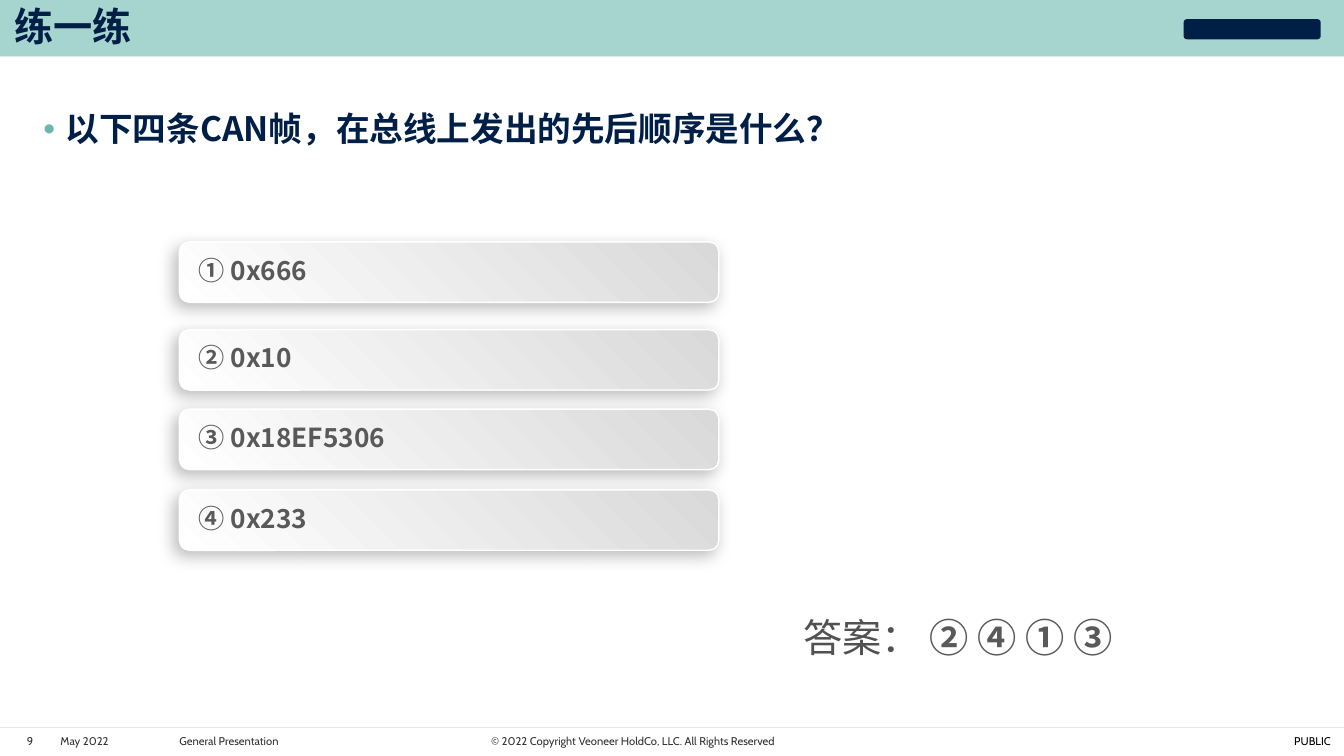
from dataclasses import dataclass

from lxml.etree import SubElement
from pptx import Presentation
from pptx.dml.color import RGBColor
from pptx.enum.shapes import MSO_SHAPE
from pptx.enum.text import MSO_ANCHOR, PP_ALIGN
from pptx.oxml.ns import qn
from pptx.util import Inches, Pt


@dataclass(frozen=True)
class Theme:
    cjk: str = "Noto Sans CJK SC"
    latin: str = "Cabin"
    navy: str = "001F47"
    mint: str = "A6D4CF"
    teal: str = "6BB7AF"
    white: str = "FFFFFF"
    silver: str = "D9D9D9"
    grey: str = "595959"
    answer: str = "515151"
    footer: str = "323232"
    black: str = "000000"
    title_size: float = 28
    question_size: float = 24
    frame_size: float = 18.7
    footer_size: float = 8


def add_xml(parent, tag, **attrs):
    return SubElement(parent, qn(tag), {k: str(v) for k, v in attrs.items()})


class SlideBuilder:
    """Draws on one slide; every box is (left, top, width, height) in percent of the slide."""

    def __init__(self, prs, theme):
        self.prs, self.theme = prs, theme
        self.s = prs.slides.add_slide(prs.slide_layouts[6])

    def place(self, box):
        w, h = self.prs.slide_width, self.prs.slide_height
        return [round(share * side / 100) for share, side in zip(box, (w, h, w, h))]

    def shape(self, box, color, kind=MSO_SHAPE.RECTANGLE, opacity=100):
        sp = self.s.shapes.add_shape(kind, *self.place(box))
        sp.shadow.inherit = False
        sp.fill.solid()
        sp.fill.fore_color.rgb = RGBColor.from_string(color)
        sp.line.fill.background()
        if opacity < 100:
            tint = sp.fill._xPr.find(qn("a:solidFill"))[0]
            add_xml(tint, "a:alpha", val=opacity * 1000)
        return sp

    def card(self, box):
        """Rounded bar with a diagonal gradient, white edge and soft shadow."""
        t = self.theme
        sp = self.shape(box, t.white, MSO_SHAPE.ROUNDED_RECTANGLE)
        sp.fill.gradient()
        sp.fill.gradient_angle = 45
        for stop, position, color in zip(sp.fill.gradient_stops, (0, 1), (t.white, t.silver)):
            stop.position = position
            stop.color.rgb = RGBColor.from_string(color)
        sp.line.color.rgb = RGBColor.from_string(t.white)
        sp.line.width = Pt(1)
        effects = sp._element.spPr.find(qn("a:effectLst"))
        shadow = add_xml(effects, "a:outerShdw", blurRad=Pt(12), dist=Pt(5),
                         dir=135 * 60000, algn="tr", rotWithShape=0)
        tint = add_xml(shadow, "a:srgbClr", val=t.black)
        add_xml(tint, "a:alpha", val=26000)

    def text(self, box, runs, size, font, inset=True, anchor=MSO_ANCHOR.TOP,
             align=PP_ALIGN.LEFT, spacing=None, bullet=None):
        """Writes one paragraph; runs are (text, colour, bold)."""
        tf = self.s.shapes.add_textbox(*self.place(box)).text_frame
        frame = {"word_wrap": True, "vertical_anchor": anchor}
        if not inset:
            frame |= {f"margin_{side}": 0 for side in ("left", "top", "right", "bottom")}
        for name, value in frame.items():
            setattr(tf, name, value)
        p = tf.paragraphs[0]
        p.alignment = align
        if spacing:
            p.line_spacing = spacing
        if bullet:
            self.bullet(p, bullet)
        for text, color, bold in runs:
            r = p.add_run()
            r.text = text
            for name, value in {"size": Pt(size), "name": font, "bold": bold}.items():
                setattr(r.font, name, value)
            r.font.color.rgb = RGBColor.from_string(color)
            add_xml(r._r.get_or_add_rPr(), "a:ea", typeface=font)

    def bullet(self, p, color):
        pPr = p._p.get_or_add_pPr()
        pPr.set("marL", str(Inches(0.22)))
        pPr.set("indent", str(-Inches(0.22)))
        add_xml(add_xml(pPr, "a:buClr"), "a:srgbClr", val=color)
        add_xml(pPr, "a:buFont", typeface="Arial")
        add_xml(pPr, "a:buChar", char="•")

    def footer(self, left, width, text, align=PP_ALIGN.LEFT, color=None):
        t = self.theme
        self.text((left, 97.2, width, 1.73), [(text, color or t.footer, False)],
                  t.footer_size, t.latin, inset=False, anchor=MSO_ANCHOR.BOTTOM, align=align)


def main():
    prs = Presentation()
    prs.slide_width, prs.slide_height = Inches(13.33), Inches(7.5)
    t = Theme()
    slide = SlideBuilder(prs, t)

    slide.shape((0, 96.27, 100, 3.73), t.white, opacity=75)
    slide.shape((0, 0, 100, 7.47), t.mint)
    slide.shape((88.07, 2.53, 10.2, 2.67), t.navy, MSO_SHAPE.ROUNDED_RECTANGLE)
    slide.shape((0, 96.27, 100, 0.03), t.mint)

    slide.text((1.05, 1.07, 91, 5.6), [("练一练", t.navy, True)], t.title_size, t.cjk,
               inset=False, anchor=MSO_ANCHOR.MIDDLE, spacing=0.9)
    slide.text((3.23, 14.67, 91, 76.4),
               [("以下四条CAN帧，在总线上发出的先后顺序是什么？", t.navy, True)],
               t.question_size, t.cjk, inset=False, spacing=0.95, bullet=t.teal)

    frames = {"① 0x666": 32, "② 0x10": 43.6, "③ 0x18EF5306": 54.13, "④ 0x233": 64.8}
    for frame, top in frames.items():
        slide.card((13.35, top, 40.14, 8))
        slide.text((14.03, top + 0.93, 24.76, 5.6), [(frame, t.grey, True)],
                   t.frame_size, t.cjk)

    slide.text((59.04, 80.53, 31.28, 7.6),
               [("答案：", t.answer, False), (" ② ④ ① ③", t.grey, True)],
               t.title_size, t.cjk)

    slide.footer(1.65, 1.2, "9", PP_ALIGN.CENTER)
    slide.footer(4.5, 7.13, "May 2022")
    slide.footer(13.35, 20.71, "General Presentation")
    slide.footer(35.93, 21.76, "© 2022 Copyright Veoneer HoldCo, LLC. All Rights Reserved",
                 PP_ALIGN.RIGHT)
    slide.footer(95.35, 3.68, "PUBLIC", PP_ALIGN.RIGHT, t.black)

    prs.save("out.pptx")


if __name__ == "__main__":
    main()
